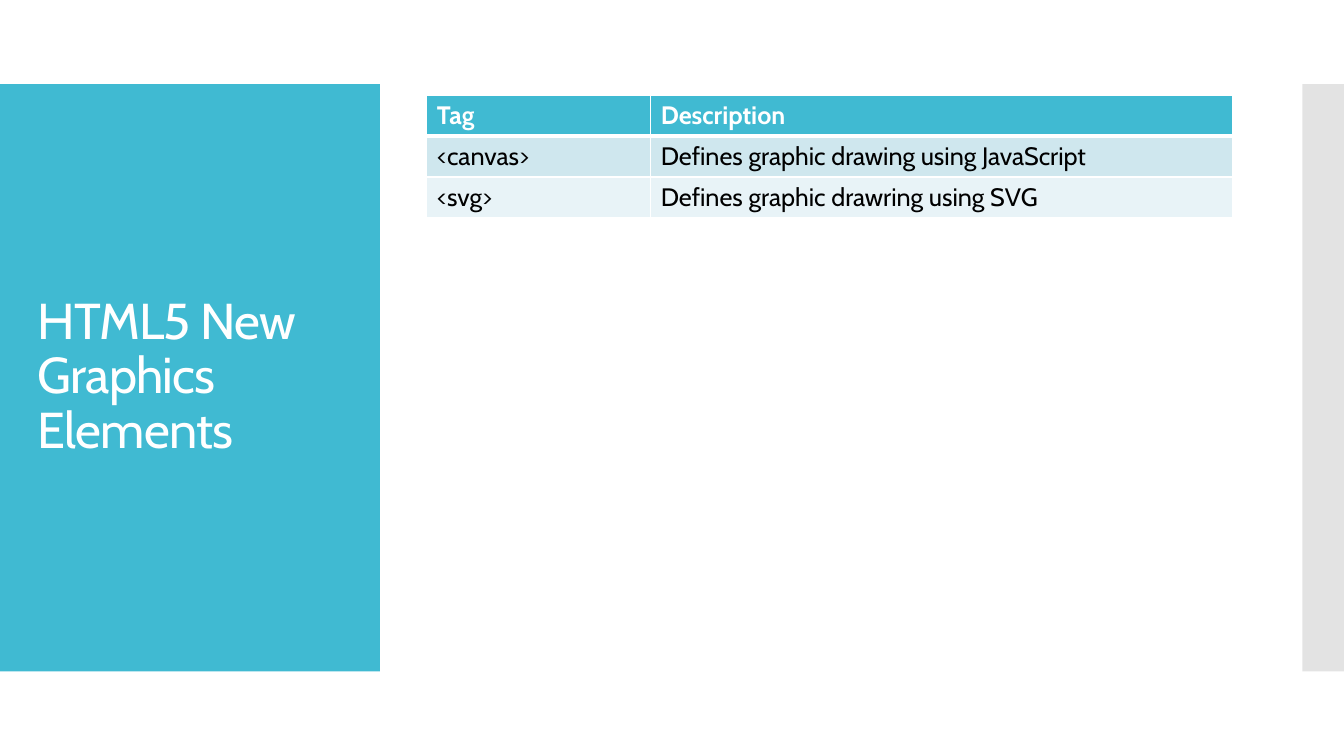
"""Build the slide on the new HTML5 graphics elements."""
from dataclasses import dataclass

from lxml import etree
from pptx import Presentation
from pptx.dml.color import RGBColor
from pptx.enum.shapes import MSO_SHAPE
from pptx.enum.text import MSO_ANCHOR
from pptx.oxml.ns import qn
from pptx.util import Pt

RECT = MSO_SHAPE.RECTANGLE
MIDDLE = MSO_ANCHOR.MIDDLE


@dataclass(frozen=True)
class Theme:
    font: str = "Cabin"
    teal: str = "40BAD2"
    gray: str = "C8C8C8"
    white: str = "FFFFFF"
    black: str = "000000"
    bands: tuple = ("40BAD2", "CFE7EE", "E8F3F7")
    title: int = 36
    body: int = 18


theme = Theme()


def style(run, size, color, bold=False):
    font = run.font
    font.name, font.size, font.bold = theme.font, Pt(size), bold
    font.color.rgb = RGBColor.from_string(color)


def border(cell, side, width):
    line = etree.SubElement(cell._tc.get_or_add_tcPr(), qn(f"a:ln{side}"), w=str(Pt(width)))
    fill = etree.SubElement(line, qn("a:solidFill"))
    etree.SubElement(fill, qn("a:srgbClr"), val=theme.white)


deck = Presentation()
deck.slide_width, deck.slide_height = Pt(960), Pt(540)
slide = deck.slides.add_slide(deck.slide_layouts[6])
shapes = slide.shapes

for left, width, color, alpha in ((0, 271.4, theme.teal, 100), (930.2, 29.8, theme.gray, 50)):
    panel = shapes.add_shape(RECT, Pt(left), Pt(60), Pt(width), Pt(419.5))
    panel.shadow.inherit = False
    panel.line.fill.background()
    panel.fill.solid()
    panel.fill.fore_color.rgb = RGBColor.from_string(color)
    if alpha < 100:
        tint = panel._element.spPr.find(qn("a:solidFill")).find(qn("a:srgbClr"))
        etree.SubElement(tint, qn("a:alpha"), val=str(alpha * 1000))

title = shapes.add_textbox(Pt(20), Pt(88.5), Pt(232), Pt(362))
frame = title.text_frame
frame.word_wrap = True
frame.vertical_anchor = MIDDLE
frame.text = "HTML5 New Graphics Elements"
para = frame.paragraphs[0]
para.line_spacing = 0.9
style(para.runs[0], theme.title, theme.white)
para.runs[0].font._element.set("spc", "-60")

rows = (
    ("Tag", "Description"),
    ("<canvas>", "Defines graphic drawing using JavaScript"),
    ("<svg>", "Defines graphic drawring using SVG"),
)
widths = (160, 416)
height = 29.2
table = shapes.add_table(
    len(rows), len(widths), Pt(304.8), Pt(68), Pt(sum(widths)), Pt(height * len(rows))
).table
for col, width in zip(table.columns, widths):
    col.width = Pt(width)

for r, texts in enumerate(rows):
    table.rows[r].height = Pt(height)
    head = r == 0
    for c, text in enumerate(texts):
        cell = table.cell(r, c)
        cell.text_frame.text = text
        run = cell.text_frame.paragraphs[0].runs[0]
        style(run, theme.body, theme.white if head else theme.black, head)
        for side, width in (("L", 1), ("R", 1), ("T", 3 if r == 1 else 1), ("B", 3 if head else 1)):
            border(cell, side, width)
        cell.fill.solid()
        cell.fill.fore_color.rgb = RGBColor.from_string(theme.bands[r])

deck.save("out.pptx")
